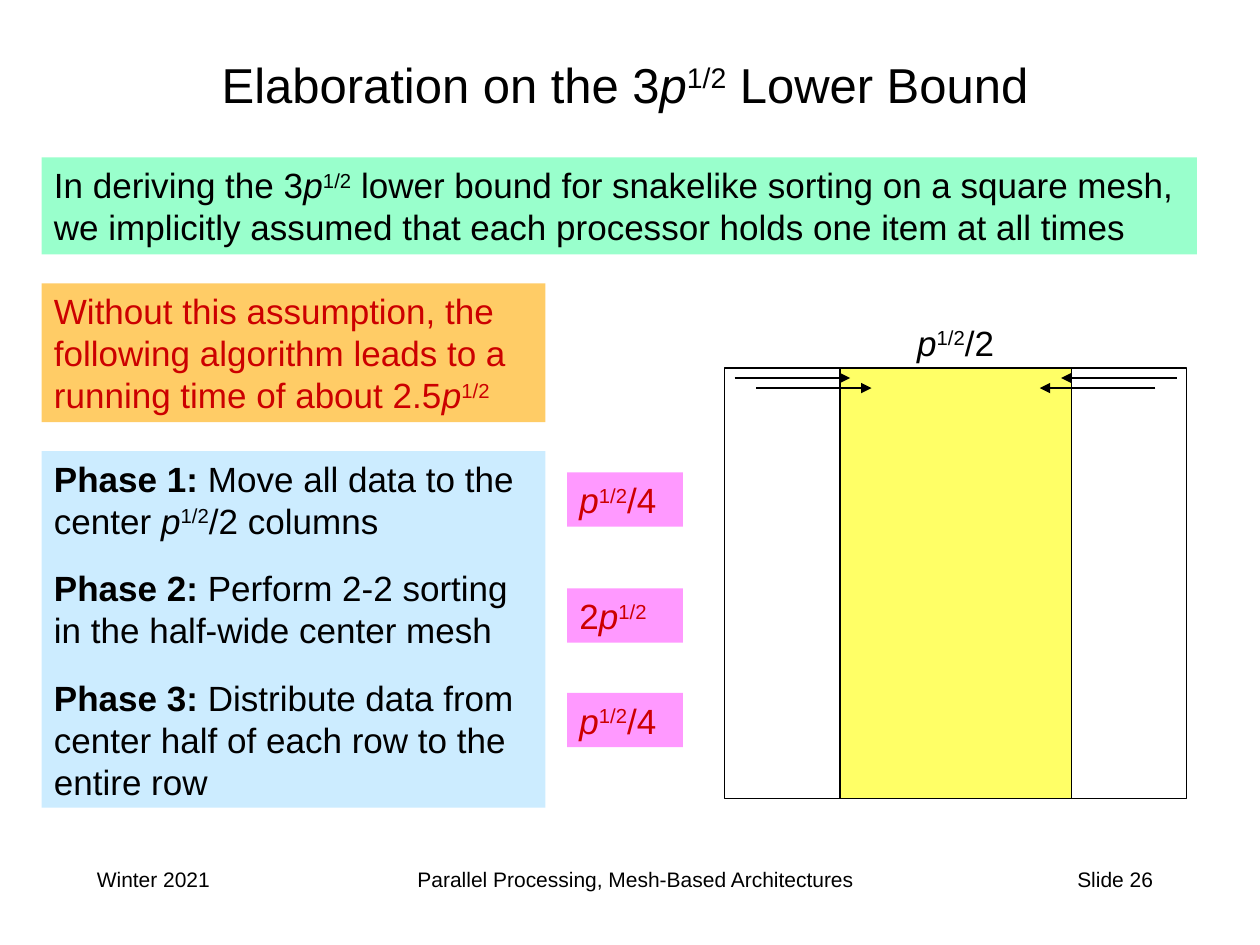
from collections import namedtuple
from dataclasses import dataclass

from lxml.etree import SubElement
from pptx import Presentation
from pptx.dml.color import RGBColor
from pptx.enum.shapes import MSO_CONNECTOR as Connector, MSO_SHAPE as Shape
from pptx.enum.text import MSO_ANCHOR as Anchor, PP_ALIGN as Align
from pptx.oxml.ns import qn
from pptx.util import Inches, Pt

Box = namedtuple("Box", "left top width height")


@dataclass(frozen=True)
class Theme:
    """Colours, font and type sizes of the slide."""
    font: str = "Arial"
    black: str = "000000"
    white: str = "FFFFFF"
    red: str = "CC0000"
    green: str = "99FFCC"
    orange: str = "FFCC66"
    blue: str = "CCECFF"
    pink: str = "FF99FF"
    yellow: str = "FFFF66"
    title: int = 28
    body: int = 20
    footer: int = 12
    phase_gap: float = 14.5
    line: float = 0.75


THEME = Theme()
ROOT_P = [("p", "italic"), ("1/2", "super")]


def color(value):
    """Turn a hex value into a colour."""
    return RGBColor.from_string(value)


def inches(box):
    """Convert the numbers of a box to lengths."""
    return [Inches(value) for value in box]


def add_rectangle(page, box, fill, line=None):
    """Add a flat rectangle, outlined if a line colour is given."""
    shape = page.shapes.add_shape(Shape.RECTANGLE, *inches(box))
    shape.shadow.inherit = False
    shape.fill.solid()
    shape.fill.fore_color.rgb = color(fill)
    if line:
        shape.line.color.rgb = color(line)
        shape.line.width = Pt(THEME.line)
    else:
        shape.line.fill.background()
    return shape


def add_text(page, box, *paragraphs, fill=None, size=THEME.body, ink=THEME.black,
             align=Align.LEFT, anchor=Anchor.TOP, gap=0):
    """Add paragraphs of (text, style) spans, on a filled panel if asked."""
    shape = add_rectangle(page, box, fill) if fill else page.shapes.add_textbox(*inches(box))
    frame = shape.text_frame
    frame.word_wrap = True
    frame.vertical_anchor = anchor
    for index, spans in enumerate(paragraphs):
        para = frame.add_paragraph() if index else frame.paragraphs[0]
        para.alignment = align
        if index and gap:
            para.space_before = Pt(gap)
        for text, style in spans:
            span = para.add_run()
            span.text = text
            span.font.name = THEME.font
            span.font.size = Pt(size)
            span.font.color.rgb = color(ink)
            span.font.bold = style == "bold"
            span.font.italic = style == "italic"
            if style == "super":
                span.font._element.set("baseline", "30000")


def add_arrow(page, start, end, y):
    """Add a horizontal arrow that points at its end."""
    arrow = page.shapes.add_connector(Connector.STRAIGHT, *inches((start, y, end, y)))
    arrow.line.color.rgb = color(THEME.black)
    arrow.line.width = Pt(THEME.line)
    SubElement(arrow.line._get_or_add_ln(), qn("a:tailEnd"), type="triangle")
    SubElement(arrow._element.spPr, qn("a:effectLst"))


def add_header(page, box):
    """Place the slide title."""
    add_text(page, box, [("Elaboration on the 3", None), *ROOT_P, (" Lower Bound", None)],
             size=THEME.title, align=Align.CENTER, anchor=Anchor.MIDDLE)


def add_statements(page, box):
    """Place the assumption across the box and its relaxation at the left."""
    add_text(page, Box(box.left, box.top, box.width, 0.77),
             [("In deriving the 3", None), *ROOT_P,
              (" lower bound for snakelike sorting on a square mesh, we implicitly "
               "assumed that each processor holds one item at all times", None)],
             fill=THEME.green)
    add_text(page, Box(box.left, box.top + 1, 4, 1.1),
             [("Without this assumption, the following algorithm leads to a "
               "running time of about 2.5", None), *ROOT_P],
             fill=THEME.orange, ink=THEME.red)


def add_phases(page, box):
    """Place the list of phases with the cost of each beside it."""
    phases = [
        [("Phase 1:", "bold"), (" Move all data to the center ", None), *ROOT_P,
         ("/2 columns", None)],
        [("Phase 2:", "bold"), (" Perform 2-2 sorting in the half-wide center mesh", None)],
        [("Phase 3:", "bold"),
         (" Distribute data from center half of each row to the entire row", None)],
    ]
    add_text(page, Box(box.left, box.top, 4, box.height), *phases,
             fill=THEME.blue, gap=THEME.phase_gap)
    quarter = [*ROOT_P, ("/4", None)]
    costs = [(0.17, quarter), (1.09, [("2", None), *ROOT_P]), (1.92, quarter)]
    for offset, cost in costs:
        add_text(page, Box(box.left + 4.17, box.top + offset, 0.92, 0.43), cost,
                 fill=THEME.pink, ink=THEME.red)


def add_mesh(page, box):
    """Draw the mesh, its center half and the arrows that move data inward."""
    quarter = box.width / 4
    center = box.left + box.width / 2
    add_rectangle(page, box, THEME.white, THEME.black)
    add_rectangle(page, Box(box.left + quarter, box.top, 2 * quarter, box.height),
                  THEME.yellow, THEME.black)
    for inset, drop in ((0.08, 0.08), (0.25, 0.16)):
        for side in (-1, 1):
            start = center + side * (box.width / 2 - inset)
            add_arrow(page, start, start - side * quarter, box.top + drop)
    add_text(page, Box(center - 0.5, box.top - 0.42, 1, 0.43),
             [*ROOT_P, ("/2", None)], align=Align.CENTER)


def add_footer(page, box):
    """Place the three footer texts."""
    entries = [
        ("Winter 2021", 0, 2.08, Align.LEFT),
        ("Parallel Processing, Mesh-Based Architectures", 1.75, 5.25, Align.CENTER),
        ("Slide 26", box.width - 2.08, 2.08, Align.RIGHT),
    ]
    for text, offset, width, align in entries:
        add_text(page, Box(box.left + offset, box.top, width, box.height),
                 [(text, None)], size=THEME.footer, align=align)


def main():
    """Build the slide and save the deck."""
    deck = Presentation()
    deck.slide_width, deck.slide_height = Inches(10), Inches(7.5)
    page = deck.slides.add_slide(deck.slide_layouts[6])
    add_footer(page, Box(0.67, 6.83, 8.58, 0.5))
    add_header(page, Box(0.42, 0.25, 9.08, 0.83))
    add_statements(page, Box(0.33, 1.25, 9.17, 2.1))
    add_phases(page, Box(0.33, 3.58, 5.09, 2.83))
    add_mesh(page, Box(5.75, 2.92, 3.67, 3.42))
    deck.save("out.pptx")


if __name__ == "__main__":
    main()
